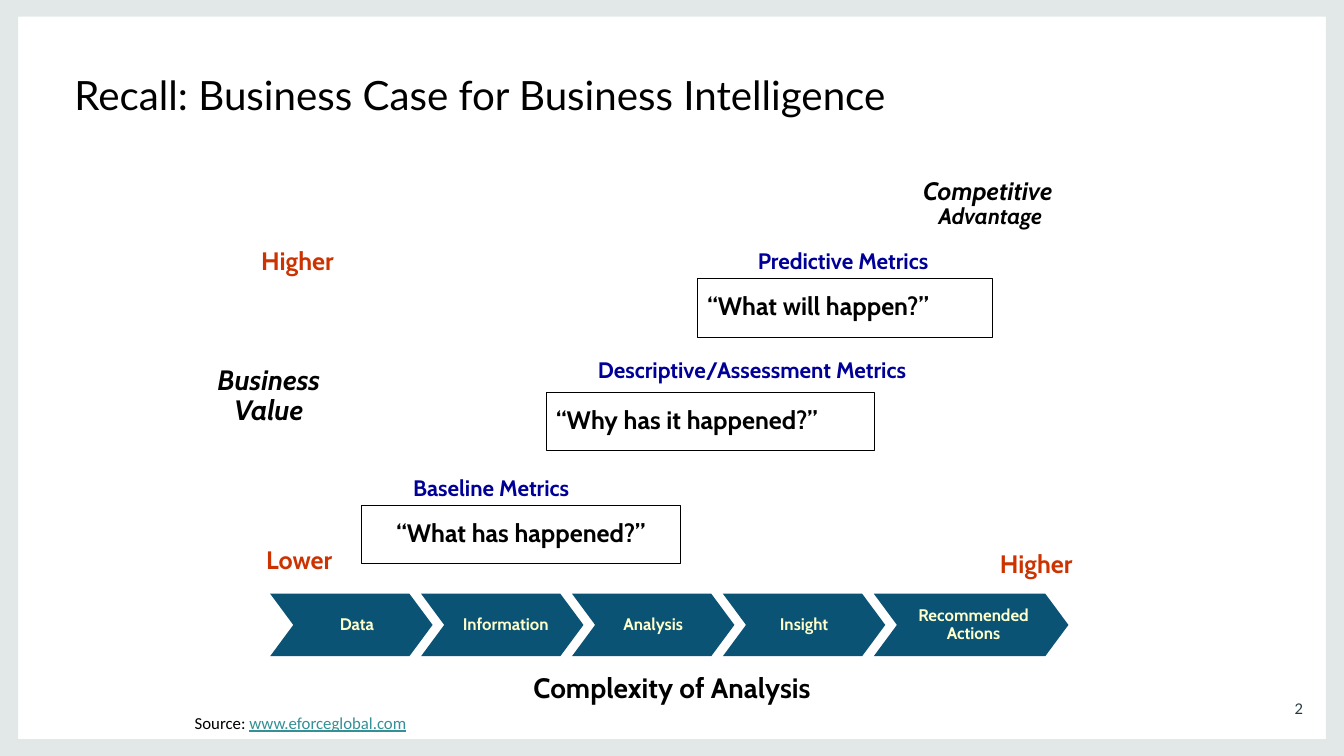
from pptx import Presentation
from pptx import util as u
from pptx.dml.color import RGBColor
from pptx.enum import shapes, text

Pt = u.Pt
HUES = {"white": "FFFFFF", "black": "000000", "frame": "E2E8E8", "red": "CC3300",
        "blue": "000099", "teal": "0A5374", "cream": "FFFFCC", "link": "329096",
        "slate": "223A3D"}
LEFT, MID, RIGHT = text.PP_ALIGN.LEFT, text.PP_ALIGN.CENTER, text.PP_ALIGN.RIGHT
RECT, CHEVRON = shapes.MSO_SHAPE.RECTANGLE, shapes.MSO_SHAPE.CHEVRON


class Board:
    """Hold the style and the current slide, and draw each kind of element."""

    def __init__(self, deck):
        self.font = "Cabin"
        self.slide = deck.slides.add_slide(deck.slide_layouts[5])

    def hue(self, name):
        return RGBColor.from_string(HUES[name])

    def word(self, para, words, size, color, font=None, bold=True, slant=False, under=False):
        run = para.add_run()
        run.text = words
        face = run.font
        face.name, face.size = font or self.font, Pt(size)
        face.bold, face.italic, face.underline = bold, slant, under
        face.color.rgb = self.hue(color)

    def fill_text(self, shape, lines, align=MID, space=0.9, wrap=True,
                  anchor=text.MSO_ANCHOR.MIDDLE):
        frame = shape.text_frame
        frame.word_wrap, frame.vertical_anchor = wrap, anchor
        frame.auto_size = text.MSO_AUTO_SIZE.NONE
        for i, runs in enumerate(lines):
            para = frame.add_paragraph() if i else frame.paragraphs[0]
            para.alignment, para.line_spacing = align, space
            for words, style in runs:
                self.word(para, words, **style)

    def title(self, box, words, **style):
        shape = self.slide.shapes.title
        shape.left, shape.top, shape.width, shape.height = map(Pt, box)
        self.fill_text(shape, [[(words, style)]], LEFT, 1.1, anchor=text.MSO_ANCHOR.BOTTOM)

    def label(self, box, lines, **layout):
        self.fill_text(self.slide.shapes.add_textbox(*map(Pt, box)), lines, **layout)

    def block(self, kind, box, lines, fill, line=None, align=MID):
        shape = self.slide.shapes.add_shape(kind, *map(Pt, box))
        shape.shadow.inherit = False
        shape.fill.solid()
        shape.fill.fore_color.rgb = self.hue(fill)
        if line:
            shape.line.color.rgb = self.hue(line)
            shape.line.width = Pt(0.25)
        else:
            shape.line.fill.background()
        self.fill_text(shape, lines, align)
        return shape

    def step(self, box, words, inset):
        style = dict(size=12, color="cream")
        shape = self.block(CHEVRON, box, [[(w, style)] for w in words], "teal")
        shape.adjustments[0] = 0.37
        frame = shape.text_frame
        frame.margin_left, frame.margin_right = Pt(inset), 0
        frame.margin_top = frame.margin_bottom = Pt(3.6)

    def border(self, wide, high, x, y):
        pen = self.slide.shapes.build_freeform(0, 0, scale=Pt(1))
        pen.add_line_segments([(wide, 0), (wide, high), (0, high)])
        pen.move_to(x, y)
        pen.add_line_segments([(x, high - y), (wide - x, high - y), (wide - x, y)])
        shape = pen.convert_to_shape()
        shape.shadow.inherit = False
        shape.fill.solid()
        shape.fill.fore_color.rgb = self.hue("frame")
        shape.line.fill.background()


def main():
    deck = Presentation()
    deck.slide_width, deck.slide_height = Pt(960), Pt(540)
    board = Board(deck)
    board.border(960, 540, 12.6, 12.2)
    board.title((46, 44.6, 792, 44), "Recall: Business Case for Business Intelligence",
                size=28.8, color="black", font="Lato", bold=False)

    for x, y, wide, words in [(175, 174.2, 75, "Higher"), (178.5, 388, 70.5, "Lower"),
                              (702.7, 390.2, 75, "Higher")]:
        board.label((x, y, wide, 26.6), [[(words, dict(size=18, color="red"))]], wrap=False)

    axis = dict(size=20, color="black")
    slant = dict(axis, slant=True)
    board.label((132, 257.8, 120, 50.4), [[("Business", slant)], [("Value", slant)]])
    board.label((348, 478, 264, 28.8), [[("Complexity of Analysis", axis)]])

    edge = dict(color="black", slant=True)
    board.block(RECT, (594, 123.8, 226.8, 44),
                [[("Competitive", dict(edge, size=18)), (" ", dict(edge, size=16))],
                 [("Advantage", dict(edge, size=16))]], "white")

    stairs = [
        ((288, 337, 146), "Baseline Metrics", (258, 360.7, 228.2), "“What has happened?”", MID),
        ((420, 252.7, 276), "Descriptive/Assessment Metrics",
         (390.2, 280.1, 234), "“Why has it happened?”", LEFT),
        ((534.2, 175, 159), "Predictive Metrics",
         (498.2, 198.7, 210.2), "“What will happen?”", LEFT)]
    for head, metric, box, query, align in stairs:
        board.block(RECT, (*box, 41.8), [[(query, dict(size=18, color="black"))]],
                    "white", "black", align)
        board.label((*head, 24.5), [[(metric, dict(size=16, color="blue"))]],
                    align=LEFT, wrap=False, anchor=text.MSO_ANCHOR.TOP)

    steps = [(["Data"], 116, 8), (["Information"], 116, 5), (["Analysis"], 116, 0),
             (["Insight"], 116, 0), (["Recommended", "Actions"], 139, 3.6)]
    for i, (words, wide, inset) in enumerate(steps):
        board.step((193 + 107.8 * i, 424.1, wide, 44.6), words, inset)

    note = dict(size=12, color="black", font="Calibri", bold=False)
    board.label((132, 504, 180, 24),
                [[("Source: ", note),
                  ("www.eforceglobal.com", dict(note, color="link", under=True))]],
                align=LEFT, space=1.0)
    board.label((897, 492, 41, 28.8),
                [[("2", dict(size=10.5, color="slate", font="Lato", bold=False))]],
                align=RIGHT, space=1.0)
    deck.save("out.pptx")


if __name__ == "__main__":
    main()
